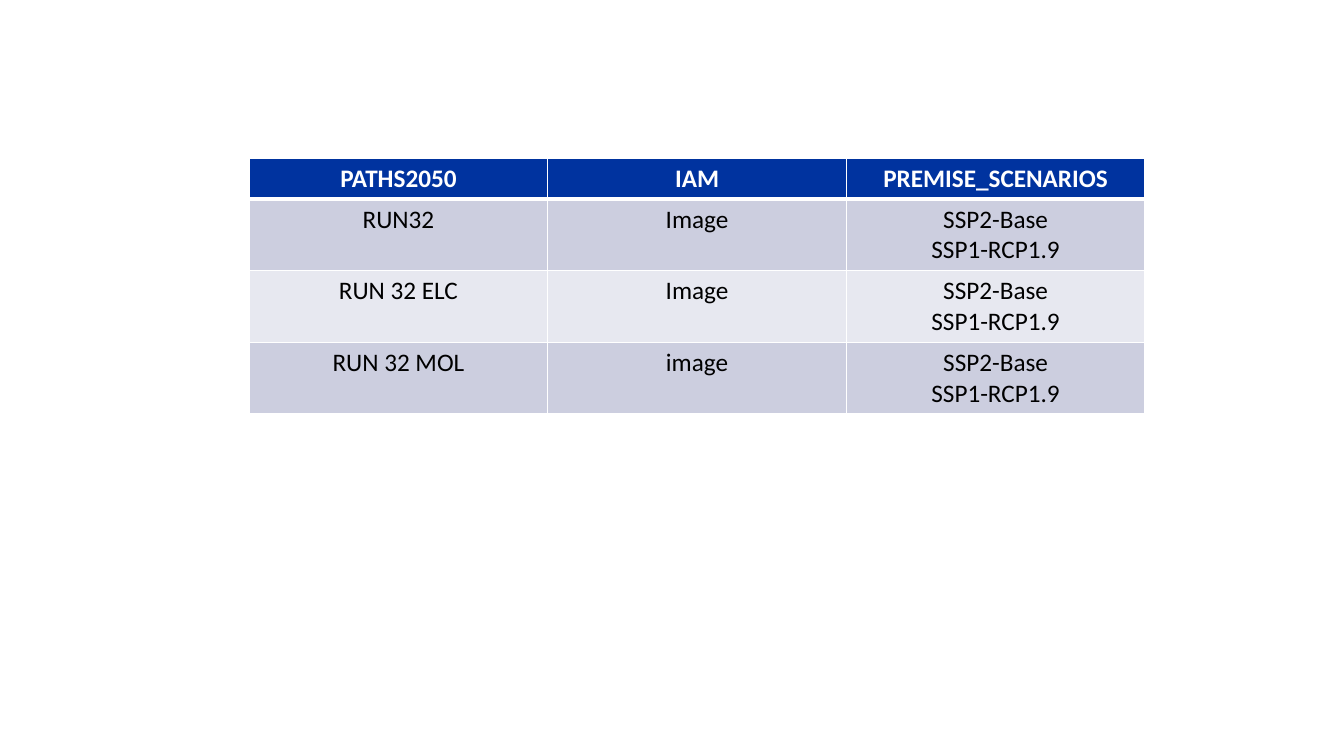
from lxml.etree import SubElement
from pptx import Presentation
from pptx.dml.color import RGBColor
from pptx.enum.text import PP_ALIGN
from pptx.oxml.ns import qn
from pptx.util import Pt

HEAD = ["PATHS2050", "IAM", "PREMISE_SCENARIOS"]
PAIR = "SSP2-Base\nSSP1-RCP1.9"
RUNS = [
    ["RUN32", "Image", PAIR],
    ["RUN 32 ELC", "Image", PAIR],
    ["RUN 32 MOL", "image", PAIR],
]
ROWS = [HEAD] + RUNS

FONT = "Calibri"
SIZE = 18
WHITE = RGBColor(0xFF, 0xFF, 0xFF)
BLACK = RGBColor(0x00, 0x00, 0x00)
BLUE = RGBColor(0x00, 0x33, 0x9F)
BANDS = [RGBColor(0xE7, 0xE8, 0xF0), RGBColor(0xCC, 0xCE, 0xDF)]

LEFT, TOP = 178, 113
COL_W = 213.3
HEAD_H, RUN_H = 29.2, 51


def add_edges(cell, top, bottom):
    """Draw white borders: 1 pt at the sides, given widths above and below."""
    props = cell._tc.get_or_add_tcPr()
    for tag, width in (("lnL", 1), ("lnR", 1), ("lnT", top), ("lnB", bottom)):
        line = SubElement(props, qn(f"a:{tag}"), w=str(Pt(width)))
        fill = SubElement(line, qn("a:solidFill"))
        SubElement(fill, qn("a:srgbClr"), val=str(WHITE))


def fill_cell(cell, text, row):
    is_head = row == 0
    add_edges(cell, 3 if row == 1 else 1, 3 if is_head else 1)
    cell.fill.solid()
    cell.fill.fore_color.rgb = BLUE if is_head else BANDS[row % 2]
    frame = cell.text_frame
    for i, words in enumerate(text.split("\n")):
        para = frame.add_paragraph() if i else frame.paragraphs[0]
        para.alignment = PP_ALIGN.CENTER
        run = para.add_run()
        run.text = words
        run.font.name = FONT
        run.font.size = Pt(SIZE)
        run.font.bold = is_head
        run.font.color.rgb = WHITE if is_head else BLACK


def main():
    deck = Presentation()
    deck.slide_width, deck.slide_height = Pt(960), Pt(540)
    slide = deck.slides.add_slide(deck.slide_layouts[6])
    wide = COL_W * len(HEAD)
    high = HEAD_H + RUN_H * len(RUNS)
    table = slide.shapes.add_table(
        len(ROWS), len(HEAD), Pt(LEFT), Pt(TOP), Pt(wide), Pt(high)
    ).table
    for col in table.columns:
        col.width = Pt(COL_W)
    for r, texts in enumerate(ROWS):
        table.rows[r].height = Pt(RUN_H if r else HEAD_H)
        for c, text in enumerate(texts):
            fill_cell(table.cell(r, c), text, r)
    deck.save("out.pptx")


if __name__ == "__main__":
    main()
